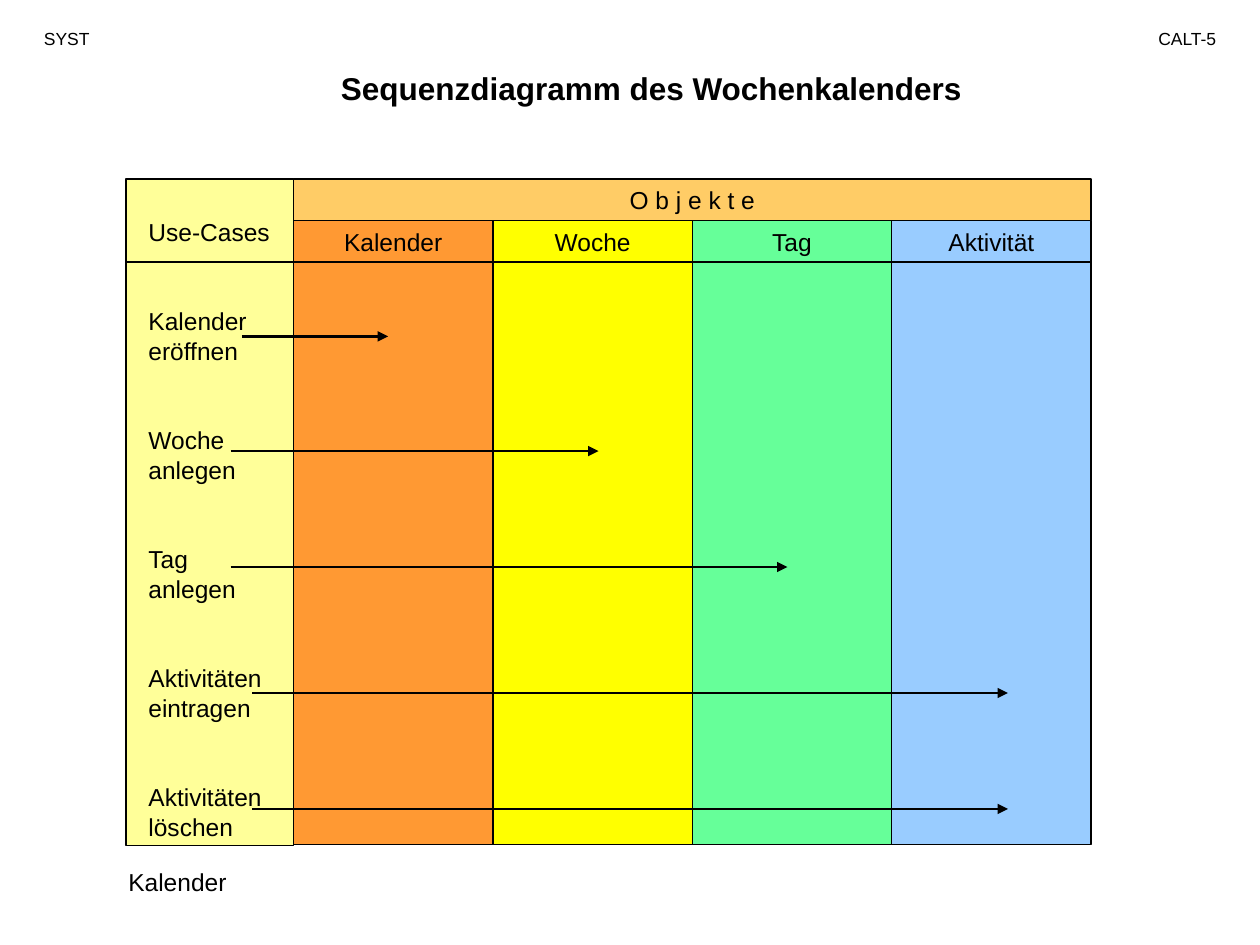
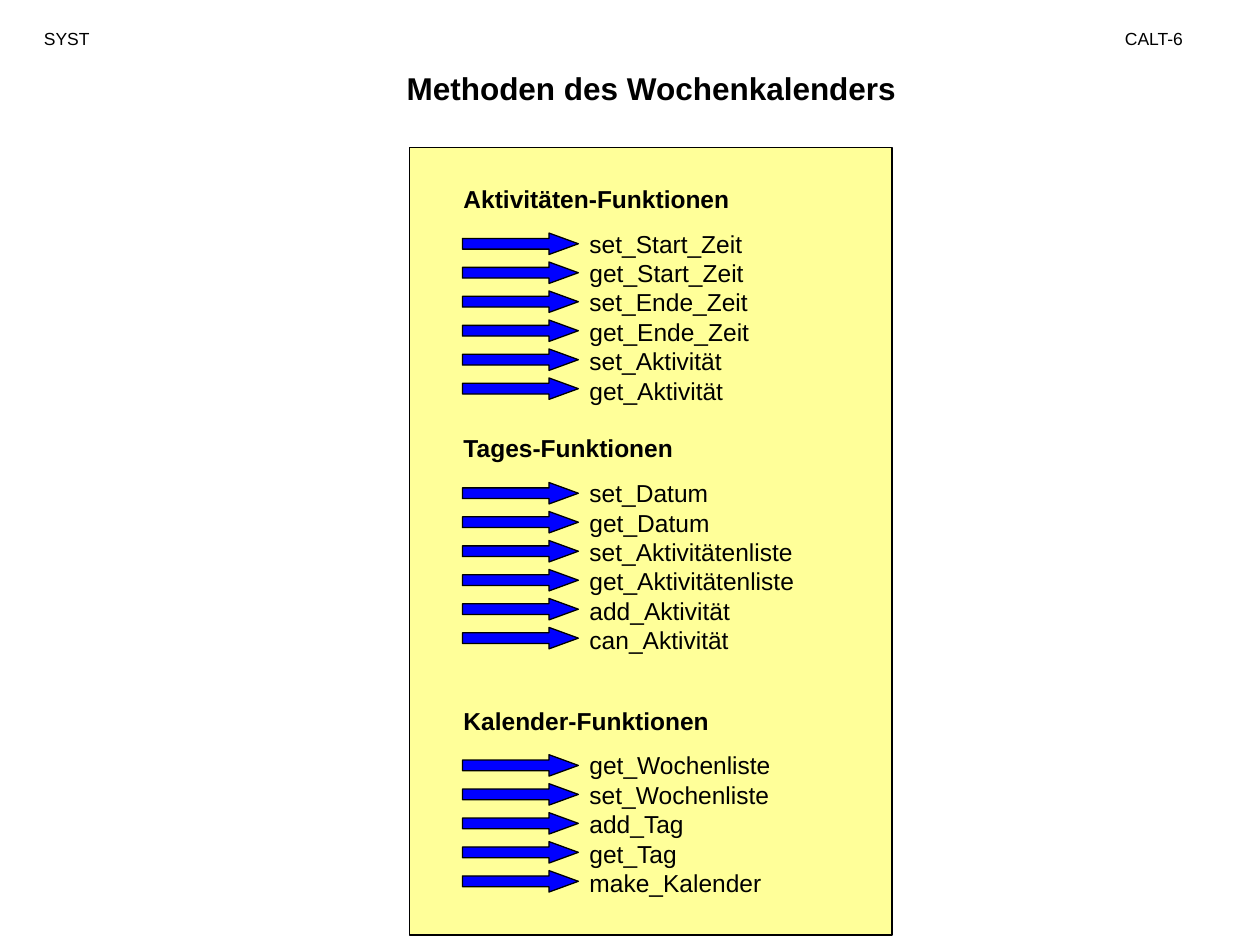
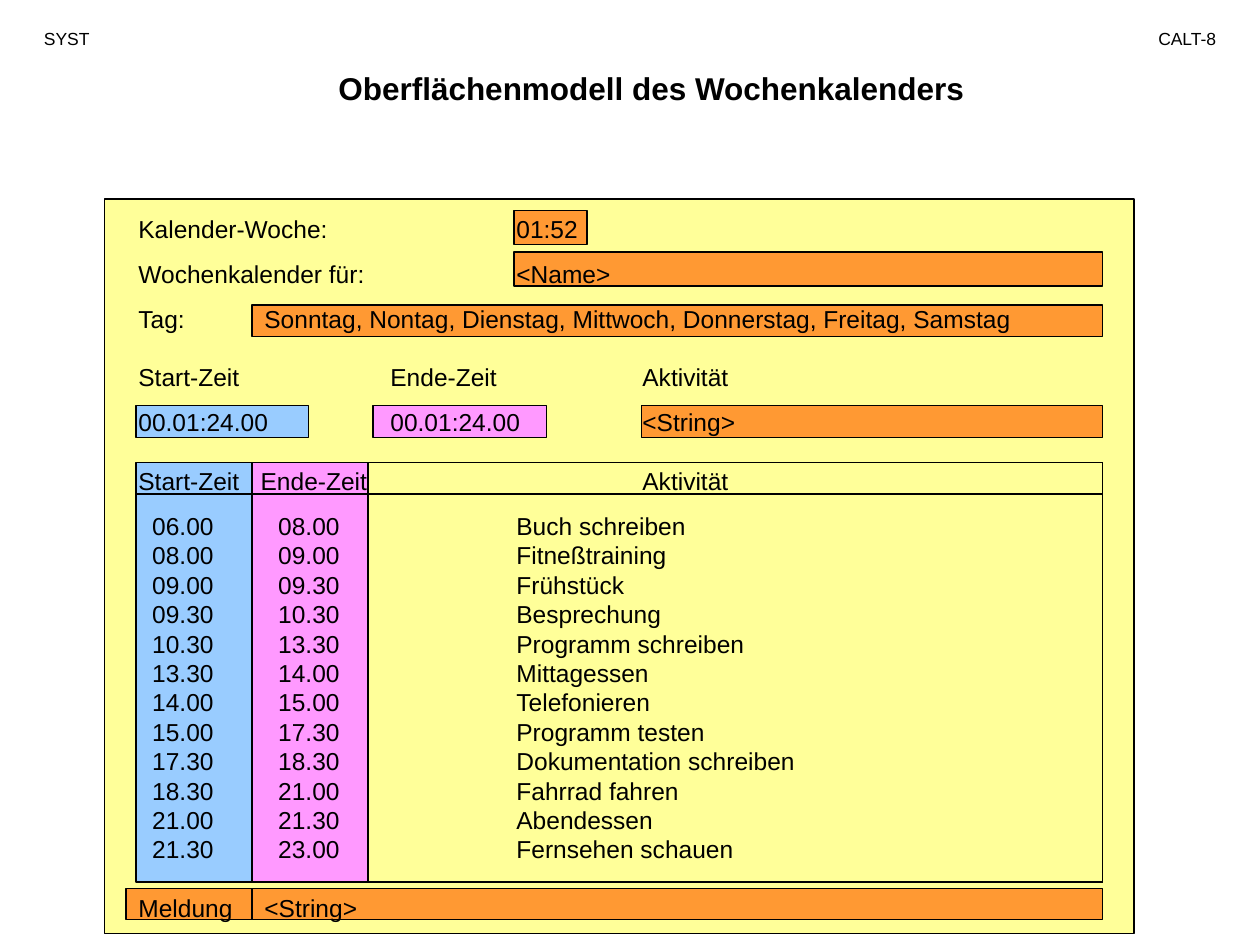
from lxml import etree
from pptx import Presentation
from pptx.dml.color import RGBColor
from pptx.enum.shapes import MSO_CONNECTOR, MSO_SHAPE
from pptx.enum.text import MSO_ANCHOR, MSO_AUTO_SIZE, PP_ALIGN
from pptx.oxml.ns import qn
from pptx.util import Inches, Pt

COLORS = {
    "ink": "000000", "panel": "FFFF99", "header": "FFCC66", "orange": "FF9933",
    "yellow": "FFFF00", "green": "66FF99", "sky": "99CCFF", "pink": "FF99FF",
    "arrow": "0000FF",
}
FONT = "Arial"
BODY, TITLE, SMALL = 14, 18, 10
GAP = 8.8
LINE = BODY * 1.2


class Deck:
    def __init__(self, prs):
        self.prs = prs
        self.s = None

    def slide(self, title, number, number_left=8.83, number_align=PP_ALIGN.RIGHT):
        self.s = self.prs.slides.add_slide(self.prs.slide_layouts[5])
        sp = self.s.shapes.title
        sp.left, sp.top, sp.width, sp.height = map(Inches, (2.17, 0.5, 6, 0.4))
        self.frame(sp.text_frame)
        self.paragraph(sp.text_frame.paragraphs[0], title, TITLE, True, PP_ALIGN.CENTER)
        self.text(0.25, 0.17, 0.92, 0.27, [("SYST", 0)], SMALL)
        self.text(number_left, 0.17, 9.75 - number_left, 0.27, [(number, 0)], SMALL,
                  align=number_align)

    def frame(self, tf, anchor=MSO_ANCHOR.TOP):
        tf.auto_size = MSO_AUTO_SIZE.NONE
        tf.word_wrap = True
        tf.vertical_anchor = anchor
        tf.margin_left = tf.margin_right = Inches(0.1)
        tf.margin_top = tf.margin_bottom = Inches(0.05)

    def paragraph(self, p, text, size=BODY, bold=False, align=PP_ALIGN.LEFT,
                  before=0, tabs=()):
        p.text = text
        if tabs:
            tab_list = etree.SubElement(p._p.get_or_add_pPr(), qn("a:tabLst"))
            for pos in tabs:
                etree.SubElement(tab_list, qn("a:tab"), pos=str(Inches(pos)), algn="l")
        p.alignment = align
        p.line_spacing = Pt(size * 1.2)
        p.space_before = Pt(before)
        p.font.name = FONT
        p.font.size = Pt(size)
        p.font.bold = bold
        p.font.color.rgb = RGBColor.from_string(COLORS["ink"])

    def text(self, x, y, w, h, rows, size=BODY, align=PP_ALIGN.LEFT, bold_first=False):
        tf = self.s.shapes.add_textbox(*map(Inches, (x, y, w, h))).text_frame
        self.frame(tf)
        for i, (text, before, *tabs) in enumerate(rows):
            p = tf.add_paragraph() if i else tf.paragraphs[0]
            self.paragraph(p, text, size, bold_first and i == 0, align, before, tabs)

    def shape(self, x, y, w, h, color, text="", kind=MSO_SHAPE.RECTANGLE):
        sp = self.s.shapes.add_shape(kind, *map(Inches, (x, y, w, h)))
        sp.shadow.inherit = False
        sp.fill.solid()
        sp.fill.fore_color.rgb = RGBColor.from_string(COLORS[color])
        sp.line.color.rgb = RGBColor.from_string(COLORS["ink"])
        sp.line.width = Pt(0.75)
        if text:
            self.frame(sp.text_frame, MSO_ANCHOR.MIDDLE)
            self.paragraph(sp.text_frame.paragraphs[0], text, align=PP_ALIGN.CENTER)
        return sp

    def block_arrow(self, x, y):
        sp = self.shape(x, y, 0.92, 0.17, "arrow", kind=MSO_SHAPE.RIGHT_ARROW)
        sp.adjustments[1] = 1.37

    def line(self, x1, y1, x2, y2, arrow=False):
        c = self.s.shapes.add_connector(MSO_CONNECTOR.STRAIGHT,
                                        *map(Inches, (x1, y1, x2, y2)))
        c.line.color.rgb = RGBColor.from_string(COLORS["ink"])
        c.line.width = Pt(1.5 if arrow else 0.75)
        if arrow:
            etree.SubElement(c.line._get_or_add_ln(), qn("a:tailEnd"), type="triangle")
        etree.SubElement(c._element.spPr, qn("a:effectLst"))


def sequence_slide(d):
    d.slide("Sequenzdiagramm des Wochenkalenders", "CALT-5", 8.83)
    d.shape(1, 1.42, 1.33, 5.29, "panel")
    use_cases = ["Kalender\neröffnen", "Woche\nanlegen", "Tag\nanlegen",
                 "Aktivitäten\neintragen", "Aktivitäten\nlöschen"]
    d.text(1.08, 1.67, 1.17, 5.05,
           [("Use-Cases", 0)] + [(u, 2 * GAP + LINE) for u in use_cases])
    left, width = 2.33, 6.33
    d.shape(left, 1.42, width, 0.33, "header", "O b j e k t e")
    columns = [("Kalender", "orange"), ("Woche", "yellow"),
               ("Tag", "green"), ("Aktivität", "sky")]
    step = width / len(columns)
    for i, (name, color) in enumerate(columns):
        d.shape(left + i * step, 1.75, step, 0.33, color, name)
        d.shape(left + i * step, 2.08, step, 4.62, color)
    d.text(0.92, 6.83, 2.25, 0.34, [("Kalender", 0)])
    d.line(left, 2.08, 1, 2.08)
    for start, end, y in [(1.92, 3.08, 2.67), (1.83, 4.75, 3.58), (1.83, 6.25, 4.5),
                          (2, 8, 5.5), (2, 8, 6.42)]:
        d.line(start, y, end, y, arrow=True)


def methods_slide(d):
    d.slide("Methoden des Wochenkalenders", "CALT-6", 8.83, PP_ALIGN.LEFT)
    d.shape(3.25, 1.17, 3.83, 6.25, "panel")
    groups = [
        (1.41, "Aktivitäten-Funktionen",
         ["set_Start_Zeit", "get_Start_Zeit", "set_Ende_Zeit", "get_Ende_Zeit",
          "set_Aktivität", "get_Aktivität"]),
        (3.39, "Tages-Funktionen",
         ["set_Datum", "get_Datum", "set_Aktivitätenliste", "get_Aktivitätenliste",
          "add_Aktivität", "can_Aktivität"]),
        (5.55, "Kalender-Funktionen",
         ["get_Wochenliste", "set_Wochenliste", "add_Tag", "get_Tag",
          "make_Kalender"]),
    ]
    for top, heading, methods in groups:
        rows = [(heading, 0)]
        rows += [("\t" + m, 0 if i else GAP, 1) for i, m in enumerate(methods)]
        d.text(3.58, top, 2.92, 0.46 + 0.23 * len(methods), rows, bold_first=True)
        for i in range(len(methods)):
            d.block_arrow(3.67, top + 0.44 + 0.23 * i)


def surface_slide(d):
    d.slide("Oberflächenmodell des Wochenkalenders", "CALT-8", 8.75)
    for x, y, w, h, color in [
        (0.83, 1.58, 8.17, 5.83, "panel"),
        (1.08, 3.67, 0.92, 3.33, "sky"),
        (2, 3.67, 0.92, 3.33, "pink"),
        (2.96, 3.22, 1.38, 0.25, "pink"),
        (1.08, 3.22, 1.37, 0.25, "sky"),
        (5.09, 3.22, 3.66, 0.25, "orange"),
        (1, 7.05, 7.75, 0.25, "orange"),
        (2, 2.42, 6.75, 0.25, "orange"),
        (4.08, 2, 4.67, 0.27, "orange"),
        (4.08, 1.67, 0.58, 0.27, "orange"),
    ]:
        d.shape(x, y, w, h, color)
    times = ["06.00", "08.00", "09.00", "09.30", "10.30", "13.30", "14.00",
             "15.00", "17.30", "18.30", "21.00", "21.30", "23.00"]
    activities = ["Buch schreiben", "Fitneßtraining", "Frühstück", "Besprechung",
                  "Programm schreiben", "Mittagessen", "Telefonieren",
                  "Programm testen", "Dokumentation schreiben", "Fahrrad fahren",
                  "Abendessen", "Fernsehen schauen"]
    rows = [
        ("Kalender-Woche:\t01:52", 0, 3),
        ("Wochenkalender für:\t<Name>", GAP, 3),
        ("Tag:\tSonntag, Nontag, Dienstag, Mittwoch, Donnerstag, Freitag, Samstag",
         GAP, 1),
        ("Start-Zeit\tEnde-Zeit\tAktivität", LINE, 2, 4),
        ("00.01:24.00\t00.01:24.00\t<String>", GAP, 2, 4),
        ("Start-Zeit\tEnde-Zeit\tAktivität", LINE, 0.97, 4),
    ]
    for i, (start, end, activity) in enumerate(zip(times, times[1:], activities)):
        rows.append((f"\t{start}\t{end}\t{activity}", 0 if i else GAP, 0.11, 1.11, 3))
    rows.append(("Meldung\t<String>", LINE, 1))
    d.text(1, 1.65, 7.75, 5.73, rows)
    for ends in [(1.08, 3.92, 8.75, 3.92), (2.92, 3.67, 8.75, 3.67),
                 (2, 7.05, 2, 7.3), (2.92, 7, 8.75, 7), (8.75, 3.67, 8.75, 7)]:
        d.line(*ends)


def main():
    prs = Presentation()
    prs.slide_width, prs.slide_height = Inches(10), Inches(7.5)
    d = Deck(prs)
    sequence_slide(d)
    methods_slide(d)
    surface_slide(d)
    prs.save("out.pptx")


if __name__ == "__main__":
    main()
